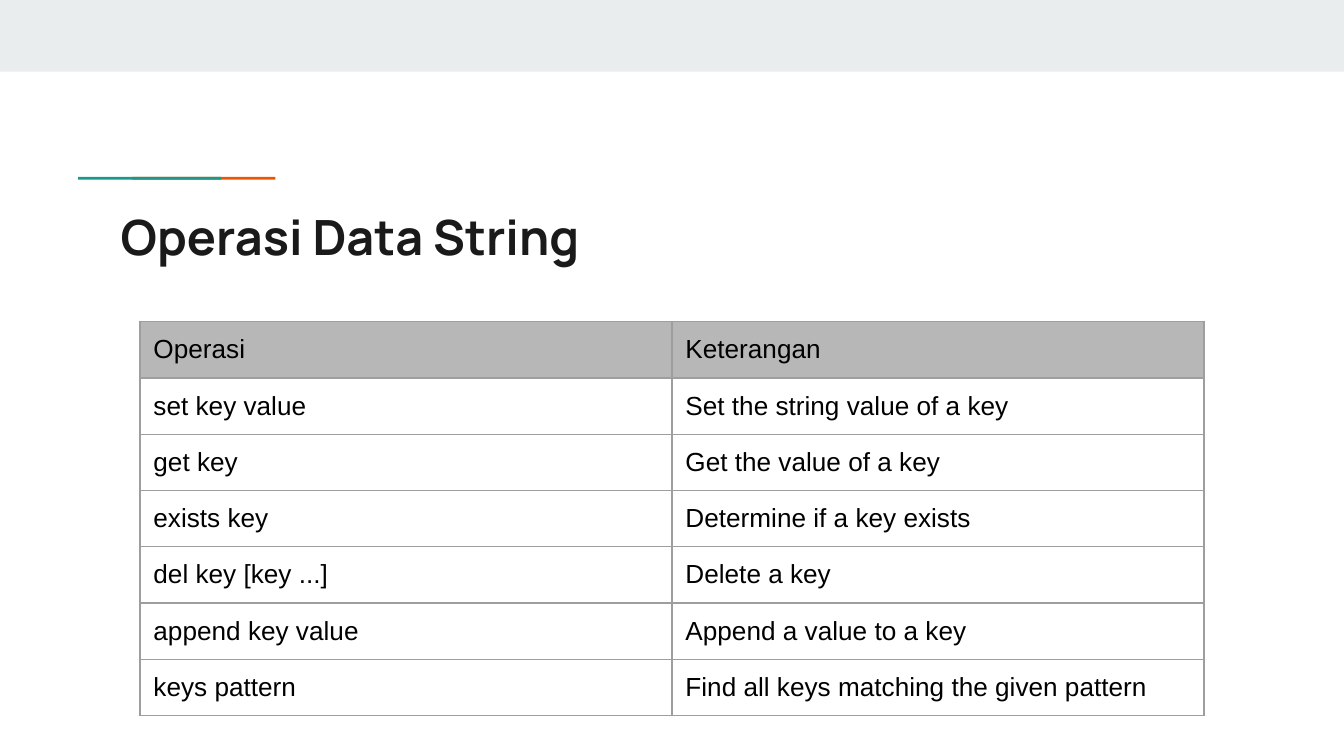
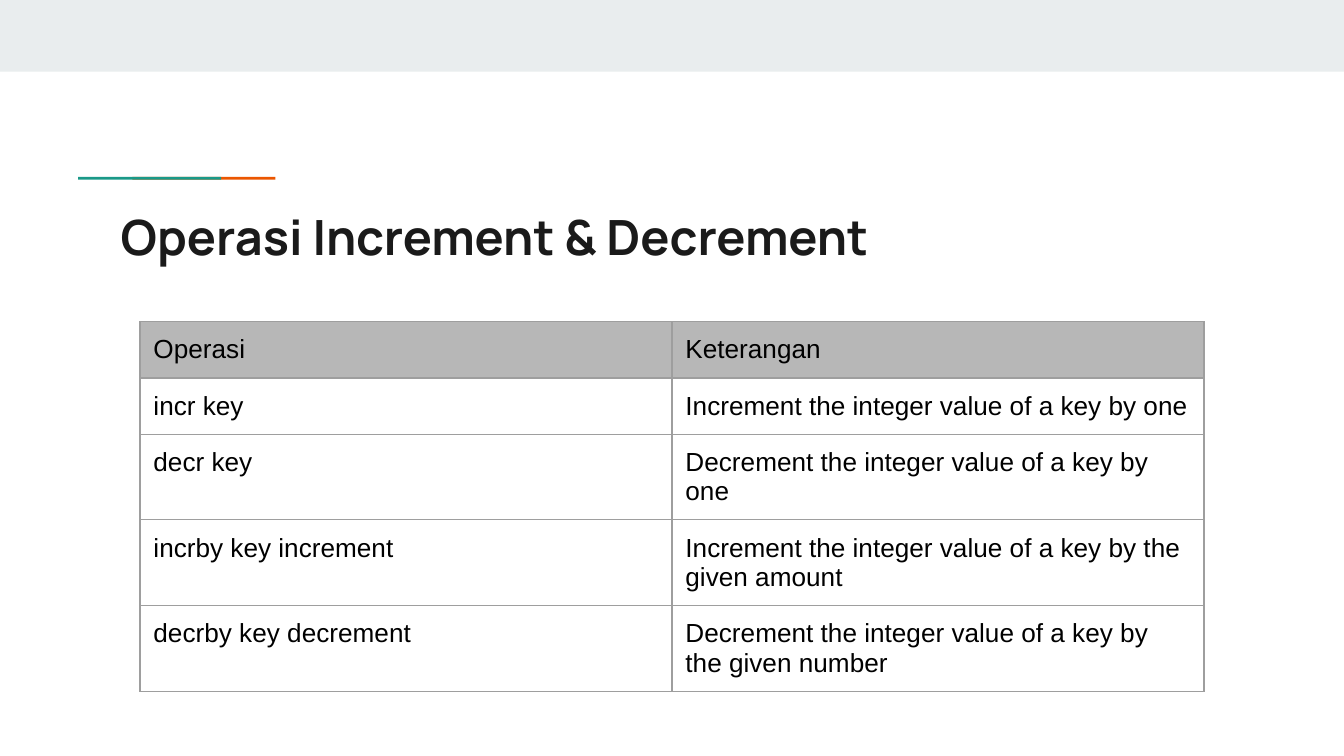
from lxml import etree
from pptx import Presentation
from pptx.dml.color import RGBColor
from pptx.enum import shapes, text
from pptx.oxml import ns
from pptx.util import Pt

WHITE = RGBColor(0xFF, 0xFF, 0xFF)
BLACK = RGBColor(0x00, 0x00, 0x00)
INK = RGBColor(0x1A, 0x1A, 0x1A)
MIST = RGBColor(0xE9, 0xED, 0xEE)
TEAL = RGBColor(0x1A, 0x99, 0x88)
ORANGE = RGBColor(0xEB, 0x56, 0x00)
HEAD = RGBColor(0xB7, 0xB7, 0xB7)
EDGE = RGBColor(0x9E, 0x9E, 0x9E)

WIDE, HIGH = 720, 405
PAD = Pt(7.2)
ROW = 30

STRING = [
    ("set key value", "Set the string value of a key"),
    ("get key", "Get the value of a key"),
    ("exists key", "Determine if a key exists"),
    ("del key [key ...]", "Delete a key"),
    ("append key value", "Append a value to a key"),
    ("keys pattern", "Find all keys matching the given pattern"),
]
COUNT = [
    ("incr key", "Increment the integer value of a key by one"),
    ("decr key", "Decrement the integer value of a key by one"),
    ("incrby key increment", "Increment the integer value of a key by the given amount"),
    ("decrby key decrement", "Decrement the integer value of a key by the given number"),
]


def write(frame, words, face, size, color, bold=False):
    para = frame.paragraphs[0]
    para.alignment = text.PP_ALIGN.LEFT
    run = para.add_run()
    run.text = words
    font = run.font
    font.name, font.size, font.bold = face, Pt(size), bold
    font.color.rgb = color


def pad(item):
    item.margin_left = item.margin_right = PAD
    item.margin_top = item.margin_bottom = PAD
    item.vertical_anchor = text.MSO_ANCHOR.TOP


def block(slide, left, top, width, height, color):
    shape = slide.shapes.add_shape(
        shapes.MSO_SHAPE.RECTANGLE, Pt(left), Pt(top), Pt(width), Pt(height))
    shape.shadow.inherit = False
    shape.fill.solid()
    shape.fill.fore_color.rgb = color
    shape.line.fill.background()


def accent(slide, left, top, width, height):
    bar = width * 0.725
    block(slide, left + width - bar, top, bar, height, ORANGE)
    block(slide, left, top, bar, height, TEAL)


def title(slide, words, left, top, width, height):
    shape = slide.shapes.title
    shape.left, shape.top = Pt(left), Pt(top)
    shape.width, shape.height = Pt(width), Pt(height)
    frame = shape.text_frame
    frame.word_wrap = True
    frame.auto_size = text.MSO_AUTO_SIZE.NONE
    pad(frame)
    frame.paragraphs[0].line_spacing = 1.0
    write(frame, words, "Manrope", 26, INK, True)


def border(cell):
    props = cell._tc.get_or_add_tcPr()
    for at, side in enumerate(("lnL", "lnR", "lnT", "lnB")):
        line = etree.Element(ns.qn("a:" + side), w=str(Pt(0.75)))
        fill = etree.SubElement(line, ns.qn("a:solidFill"))
        etree.SubElement(fill, ns.qn("a:srgbClr"), val=str(EDGE))
        props.insert(at, line)


def grid(slide, rows, left, top, width):
    rows = [("Operasi", "Keterangan"), *rows]
    cols = len(rows[0])
    table = slide.shapes.add_table(
        len(rows), cols, Pt(left), Pt(top), Pt(width), Pt(ROW * len(rows))).table
    table.horz_banding = False
    for col in table.columns:
        col.width = Pt(width / cols)
    for y, row in enumerate(rows):
        table.rows[y].height = Pt(ROW)
        for x, words in enumerate(row):
            cell = table.cell(y, x)
            pad(cell)
            if y == 0:
                cell.fill.solid()
                cell.fill.fore_color.rgb = HEAD
            else:
                cell.fill.background()
            border(cell)
            write(cell.text_frame, words, "Arial", 14, BLACK)


def page(deck, words, rows):
    slide = deck.slides.add_slide(deck.slide_layouts[5])
    slide.background.fill.solid()
    slide.background.fill.fore_color.rgb = WHITE
    block(slide, 0, 0, WIDE, 38.4, MIST)
    accent(slide, 41.8, 94.8, 105.7, 1.5)
    title(slide, words, 57.5, 103.8, 605.5, 42.5)
    grid(slide, rows, 75, 172.3, 570)


def main():
    deck = Presentation()
    deck.slide_width, deck.slide_height = Pt(WIDE), Pt(HIGH)
    page(deck, "Operasi Data String", STRING)
    page(deck, "Operasi Increment & Decrement", COUNT)
    deck.save("out.pptx")


if __name__ == "__main__":
    main()
